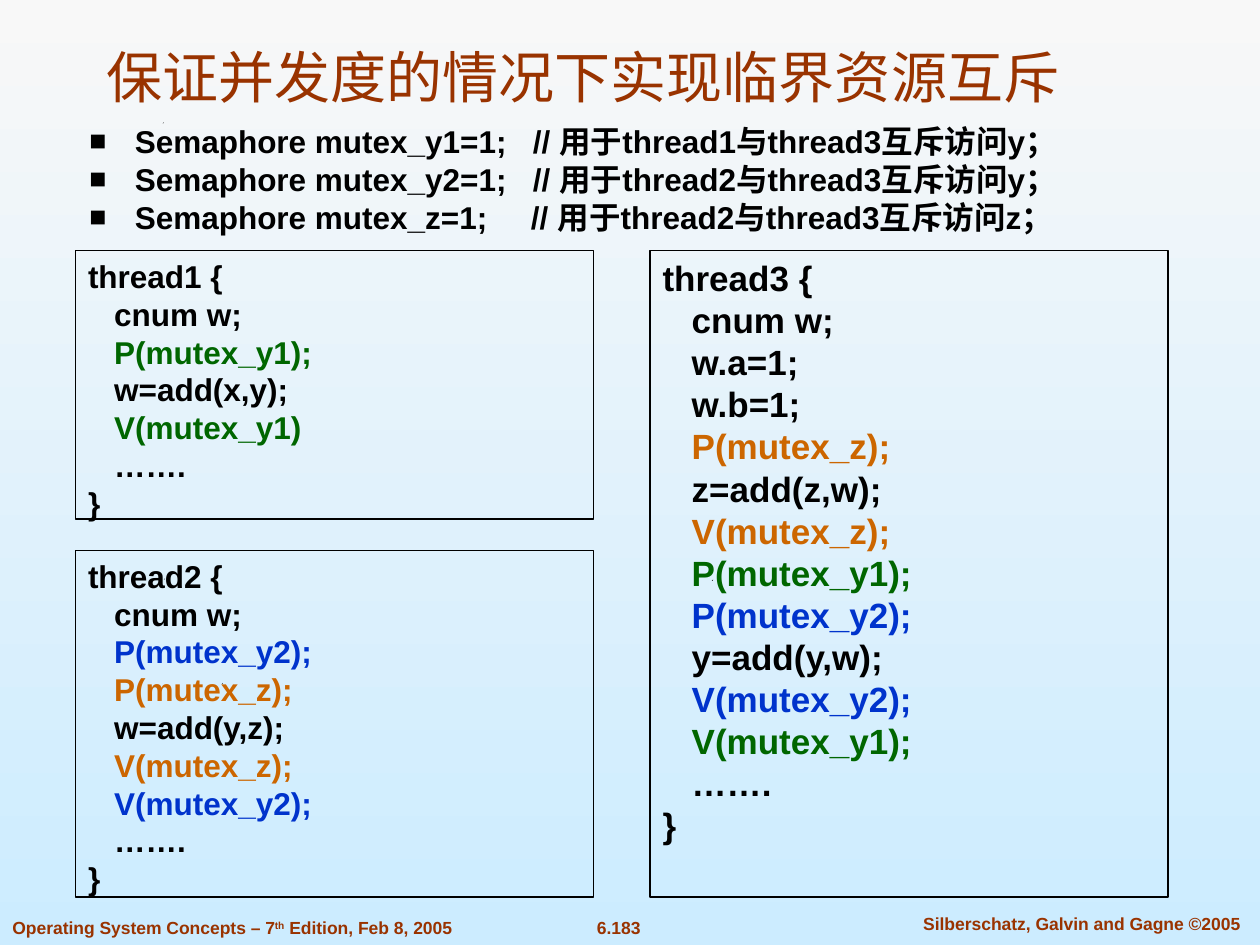
from lxml.etree import SubElement
from pptx import Presentation
from pptx.dml.color import RGBColor
from pptx.enum.shapes import MSO_SHAPE
from pptx.enum.text import MSO_ANCHOR, PP_ALIGN
from pptx.oxml.ns import qn
from pptx.util import Inches, Pt

FONT = "Arial"
BLACK = RGBColor(0x00, 0x00, 0x00)
RUST = RGBColor(0x99, 0x33, 0x00)
GREEN = RGBColor(0x00, 0x66, 0x00)
BLUE = RGBColor(0x00, 0x33, 0xCC)
ORANGE = RGBColor(0xCC, 0x66, 0x00)
SKY_TOP = RGBColor(0xF8, 0xF8, 0xF8)
SKY_BOTTOM = RGBColor(0xCC, 0xEC, 0xFF)

MUTEX_COLORS = {"mutex_y1": GREEN, "mutex_y2": BLUE, "mutex_z": ORANGE}

HEADING = "保证并发度的情况下实现临界资源互斥"
SEMAPHORES = [
    "Semaphore mutex_y1=1;   // 用于thread1与thread3互斥访问y；",
    "Semaphore mutex_y2=1;   // 用于thread2与thread3互斥访问y；",
    "Semaphore mutex_z=1;     // 用于thread2与thread3互斥访问z；",
]
LEFT, RIGHT, TOP, BOTTOM, PANEL_WIDTH = 0.6, 5.16, 1.99, 7.12, 4.11
THREADS = [
    ("thread1", LEFT, TOP, 4.12, 18,
     ["cnum w;", "P(mutex_y1);", "w=add(x,y);", "V(mutex_y1)", "……."]),
    ("thread2", LEFT, 4.37, BOTTOM, 18,
     ["cnum w;", "P(mutex_y2);", "P(mutex_z);", "w=add(y,z);",
      "V(mutex_z);", "V(mutex_y2);", "……."]),
    ("thread3", RIGHT, TOP, BOTTOM, 20,
     ["cnum w;", "w.a=1;", "w.b=1;", "P(mutex_z);", "z=add(z,w);",
      "V(mutex_z);", "P(mutex_y1);", "P(mutex_y2);", "y=add(y,w);",
      "V(mutex_y2);", "V(mutex_y1);", "……."]),
]
FOOTERS = [
    ((0, 7.23, 4.11, 0.27), PP_ALIGN.LEFT, False,
     [("Operating System Concepts – 7", 0), ("th", 30000),
      (" Edition, Feb 8, 2005", 0)]),
    ((4.59, 7.23, 0.64, 0.27), PP_ALIGN.CENTER, False, [("6.183", 0)]),
    ((7.1, 7.2, 2.97, 0.27), PP_ALIGN.CENTER, True,
     [("Silberschatz, Galvin and Gagne ©2005", 0)]),
]
SPECKS = [(1.76, 5.43), (1.3, 4.6), (5.65, 4.61), (1.29, 0.98)]
SPECK_SIZE = 0.01


def place(part, left, top, width, height):
    part.left, part.top = Inches(left), Inches(top)
    part.width, part.height = Inches(width), Inches(height)


def add_run(paragraph, text, size, color, bold=True):
    run = paragraph.add_run()
    run.text = text
    run.font.name, run.font.size, run.font.bold = FONT, Pt(size), bold
    run.font.color.rgb = color
    return run


def paragraphs(frame, count):
    return [frame.paragraphs[0]] + [frame.add_paragraph() for _ in range(count - 1)]


def add_square_bullet(paragraph):
    properties = paragraph._p.get_or_add_pPr()
    properties.set("marL", str(Inches(0.36)))
    properties.set("indent", str(-Inches(0.36)))
    bullet_color = SubElement(properties, qn("a:buClr"))
    SubElement(bullet_color, qn("a:srgbClr"), val=str(BLACK))
    SubElement(properties, qn("a:buSzPct"), val="90000")
    SubElement(properties, qn("a:buFont"), typeface=FONT)
    SubElement(properties, qn("a:buChar"), char="■")


def code_color(line):
    return next((c for name, c in MUTEX_COLORS.items() if name in line), BLACK)


def add_speck(slide, left, bottom):
    corners = [(left + SPECK_SIZE, bottom - SPECK_SIZE), (left + SPECK_SIZE / 2, bottom)]
    outline = slide.shapes.build_freeform(Inches(left), Inches(bottom))
    outline.add_line_segments([(Inches(x), Inches(y)) for x, y in corners], close=True)
    speck = outline.convert_to_shape()
    speck.shadow.inherit = False
    speck.fill.solid()
    speck.fill.fore_color.rgb = BLACK
    speck.line.fill.background()


def add_thread(slide, name, left, top, bottom, size, body):
    panel = slide.shapes.add_shape(
        MSO_SHAPE.RECTANGLE, Inches(left), Inches(top),
        Inches(PANEL_WIDTH), Inches(bottom - top))
    panel.shadow.inherit = False
    panel.fill.background()
    panel.line.color.rgb = BLACK
    panel.line.width = Pt(0.75)
    frame = panel.text_frame
    frame.word_wrap = True
    frame.vertical_anchor = MSO_ANCHOR.TOP
    code = [name + " {"] + ["   " + line for line in body] + ["}"]
    for paragraph, line in zip(paragraphs(frame, len(code)), code):
        paragraph.alignment = PP_ALIGN.LEFT
        add_run(paragraph, line, size, code_color(line))


def add_footer(slide, bounds, alignment, wrap, parts):
    footer = slide.shapes.add_textbox(*map(Inches, bounds))
    footer.text_frame.word_wrap = wrap
    paragraph = footer.text_frame.paragraphs[0]
    paragraph.alignment = alignment
    for text, baseline in parts:
        run = add_run(paragraph, text, 10, RUST)
        if baseline:
            run._r.get_or_add_rPr().set("baseline", str(baseline))


def main():
    deck = Presentation()
    deck.slide_width, deck.slide_height = Inches(10), Inches(7.5)
    slide = deck.slides.add_slide(deck.slide_layouts[1])

    sky = slide.background.fill
    sky.gradient()
    sky.gradient_angle = 270
    for stop, position, color in zip(sky.gradient_stops, (0, 1), (SKY_TOP, SKY_BOTTOM)):
        stop.position, stop.color.rgb = position, color

    heading = slide.shapes.title
    place(heading, 0.75, 0.25, 8.83, 0.67)
    heading.text_frame.vertical_anchor = MSO_ANCHOR.BOTTOM
    heading.text_frame.margin_left = 0
    heading.text_frame.margin_right = Inches(1.07)
    heading_line = heading.text_frame.paragraphs[0]
    heading_line.alignment = PP_ALIGN.CENTER
    add_run(heading_line, HEADING, 32, RUST, bold=False)

    semaphores = slide.placeholders[1]
    place(semaphores, 0.49, 0.92, 9.51, 0.98)
    semaphores.text_frame.margin_left = Inches(0.22)
    lines = paragraphs(semaphores.text_frame, len(SEMAPHORES))
    for paragraph, text in zip(lines, SEMAPHORES):
        add_square_bullet(paragraph)
        paragraph.space_before = Pt(0)
        paragraph.line_spacing = Pt(21.6)
        add_run(paragraph, text, 18, BLACK)

    for speck in SPECKS:
        add_speck(slide, *speck)
    for thread in THREADS:
        add_thread(slide, *thread)
    for footer in FOOTERS:
        add_footer(slide, *footer)

    deck.save("out.pptx")


if __name__ == "__main__":
    main()
